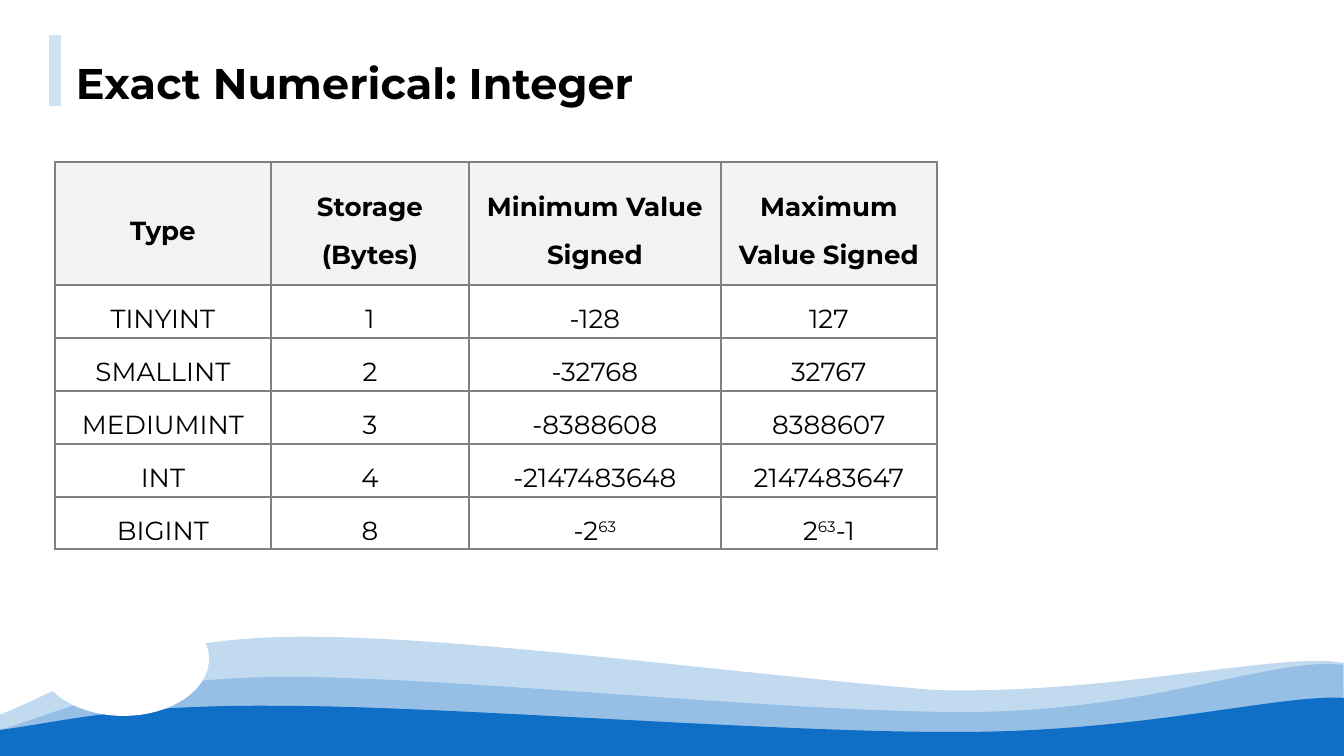
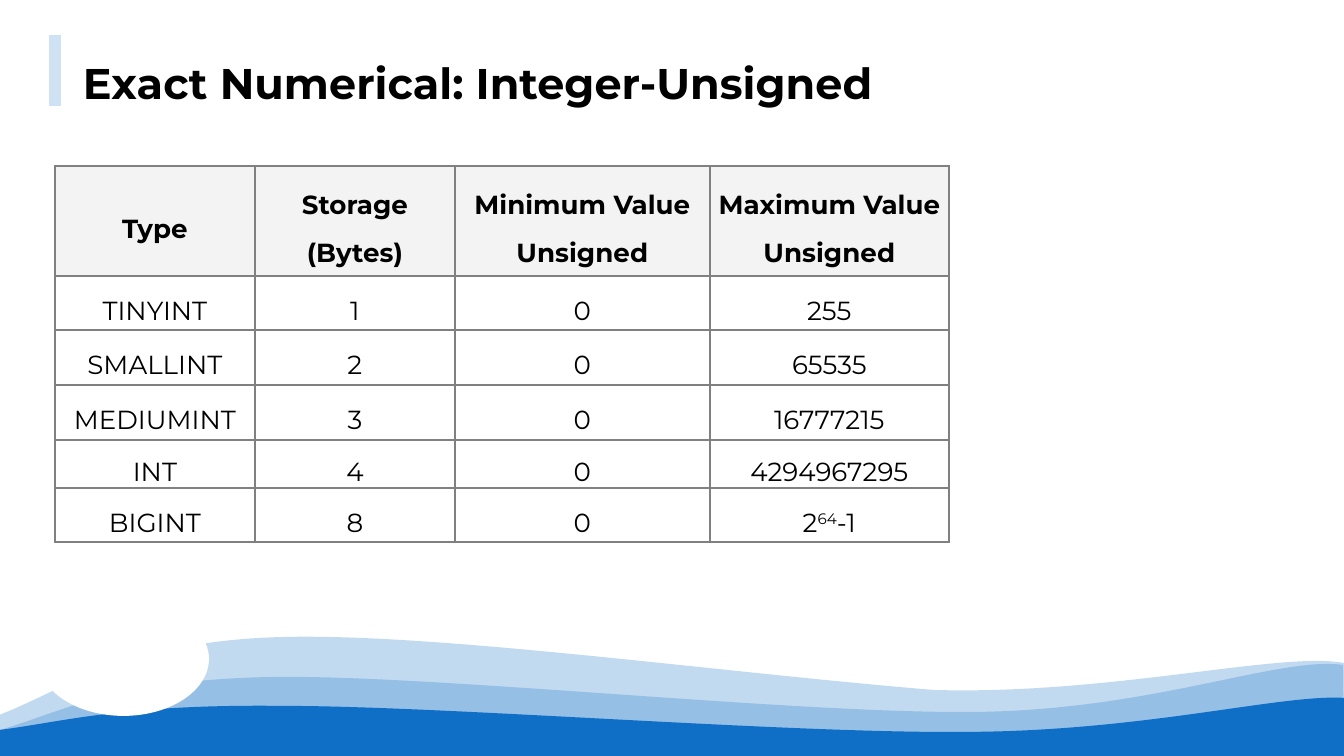
from dataclasses import dataclass

from lxml.etree import SubElement
from pptx import Presentation
from pptx.dml.color import RGBColor
from pptx.enum.shapes import MSO_CONNECTOR, MSO_SHAPE
from pptx.enum.text import MSO_ANCHOR, MSO_AUTO_SIZE, PP_ALIGN
from pptx.oxml.ns import qn
from pptx.util import Emu, Pt


@dataclass(frozen=True)
class Theme:
    font: str = "Montserrat"
    title_size: int = 23
    cell_size: int = 14
    ink: str = "000000"
    paper: str = "FFFFFF"
    wave: str = "0F6FC6"
    accent: str = "CFE2F3"
    header: str = "F3F3F3"
    border: str = "808080"
    thin: float = 1.02
    medium: float = 1.06
    thick: float = 1.5


theme = Theme()
EMU_PER_PX = 9144000 / 1344


def px(n):
    return Emu(round(n * EMU_PER_PX))


def write(p, text, size, bold, **para):
    """Fill a paragraph; parts between ^ marks are superscript."""
    for name, value in para.items():
        setattr(p, name, value)
    for i, part in enumerate(text.split("^")):
        if not part:
            continue
        r = p.add_run()
        r.text = part
        for name, value in dict(name=theme.font, size=Pt(size), bold=bold).items():
            setattr(r.font, name, value)
        r.font.color.rgb = RGBColor.from_string(theme.ink)
        if i % 2:
            r._r.get_or_add_rPr().set("baseline", "30000")


# Content
types = ["TINYINT", "SMALLINT", "MEDIUMINT", "INT", "BIGINT"]
storage = ["1", "2", "3", "4", "8"]
pages = [
    dict(
        title="Exact Numerical: Integer", title_box=(71, 44, 765, 71), kind="Signed",
        minimum=["-128", "-32768", "-8388608", "-2147483648", "-2^63^"],
        maximum=["127", "32767", "8388607", "2147483647", "2^63^-1"],
        top=162, cols=[216, 198, 252, 216], rows=[123, 53, 53, 53, 53, 52],
        thick_edges={(1, 3): "B", (2, 2): "R", (2, 3): "LRTB", (3, 3): "T"},
    ),
    dict(
        title="Exact Numerical: Integer-Unsigned", title_box=(78, 44, 942, 52), kind="Unsigned",
        minimum=["0"] * 5,
        maximum=["255", "65535", "16777215", "4294967295", "2^64^-1"],
        top=166, cols=[200, 200, 255, 239], rows=[110, 54, 55, 55, 48, 54],
        thick_edges={},
    ),
]

prs = Presentation()
prs.slide_width, prs.slide_height = px(1344), px(756)
layout = prs.slide_layouts[5]
for ph in list(layout.placeholders)[1:]:
    ph.element.getparent().remove(ph.element)
slides = [prs.slides.add_slide(layout) for _ in pages]

# Wave outlines: start point, three Bezier curves, opacity in percent
waves = [
    ((-1, 715), [(62, 691, 126, 641, 282, 637), (438, 633, 716, 672, 934, 690),
                 (1111, 695, 1282, 651, 1344, 663)], 25),
    ((0, 730), [(63, 712, 112, 680, 274, 677), (437, 675, 798, 714, 976, 712),
                (1154, 710, 1279, 656, 1343, 665)], 25),
    ((0, 730), [(63, 722, 122, 704, 284, 706), (445, 706, 793, 734, 969, 732),
                (1146, 731, 1282, 694, 1344, 698)], 100),
]
shapes = slides[0].shapes
backdrop = []
for start, curves, opacity in waves:
    corners = [curve[4:] for curve in curves] + [(1344, 756), (0, 756)]
    outline = shapes.build_freeform(px(start[0]), px(start[1]), scale=1.0)
    outline.add_line_segments([(px(x), px(y)) for x, y in corners], close=True)
    sp = outline.convert_to_shape()
    # The first segments become Bezier curves, measured from the shape's corner
    segments = list(sp.element.iter(qn("a:lnTo")))
    for segment, curve in zip(segments, curves):
        bezier = segment.makeelement(qn("a:cubicBezTo"))
        for x, y in zip(curve[::2], curve[1::2]):
            SubElement(bezier, qn("a:pt"), x=str(px(x) - sp.left), y=str(px(y) - sp.top))
        segment.getparent().replace(segment, bezier)
    backdrop.append((sp, theme.wave, opacity))
hollow = shapes.add_shape(MSO_SHAPE.OVAL, px(38), px(602), px(171), px(114))
backdrop.append((hollow, theme.paper, 100))

# The backdrop belongs to the layout, so both slides share it
for sp, color, opacity in backdrop:
    sp.shadow.inherit = False
    sp.line.fill.background()
    sp.fill.solid()
    sp.fill.fore_color.rgb = RGBColor.from_string(color)
    if opacity < 100:
        clr = sp.element.spPr.find(f"{qn('a:solidFill')}/{qn('a:srgbClr')}")
        SubElement(clr, qn("a:alpha"), val=str(opacity * 1000))
    layout.shapes.element.append(sp.element)

for s, page in zip(slides, pages):
    # Title
    title = s.shapes.title
    for name, value in zip(("left", "top", "width", "height"), page["title_box"]):
        setattr(title, name, px(value))
    tf = title.text_frame
    frame = dict(word_wrap=True, auto_size=MSO_AUTO_SIZE.NONE, vertical_anchor=MSO_ANCHOR.TOP)
    frame |= {f"margin_{side}": px(5) for side in ("left", "right", "top", "bottom")}
    for name, value in frame.items():
        setattr(tf, name, value)
    write(tf.paragraphs[0], page["title"], theme.title_size, True,
          alignment=PP_ALIGN.LEFT, line_spacing=1.15)

    # Table
    kind = page["kind"]
    head = ("Type", "Storage (Bytes)", f"Minimum Value {kind}", f"Maximum Value {kind}")
    grid = [head, *zip(types, storage, page["minimum"], page["maximum"])]
    cols, rows = page["cols"], page["rows"]
    table = s.shapes.add_table(len(rows), len(cols), px(55), px(page["top"]),
                               px(sum(cols)), px(sum(rows))).table
    table.first_row = table.horz_banding = False
    for col, width in zip(table.columns, cols):
        col.width = px(width)
    for row, height in zip(table.rows, rows):
        row.height = px(height)

    for i, values in enumerate(grid):
        is_head = i == 0
        side, edge = (1, 1) if is_head else (3, 0)
        box = dict(margin_left=px(side), margin_right=px(side), margin_top=px(edge),
                   margin_bottom=px(edge), vertical_anchor=MSO_ANCHOR.MIDDLE)
        for j, text in enumerate(values):
            cell = table.cell(i, j)
            for name, value in box.items():
                setattr(cell, name, value)
            write(cell.text_frame.paragraphs[0], text, theme.cell_size, is_head,
                  alignment=PP_ALIGN.CENTER, line_spacing=1.5)
            # Borders come before the fill in the cell properties
            for b in "LRTB":
                weight = theme.medium if is_head and b != "B" else theme.thin
                if b in page["thick_edges"].get((i, j), ""):
                    weight = theme.thick
                ln = SubElement(cell._tc.get_or_add_tcPr(), qn(f"a:ln{b}"), w=str(Pt(weight)))
                SubElement(SubElement(ln, qn("a:solidFill")), qn("a:srgbClr"), val=theme.border)
            cell.fill.solid()
            cell.fill.fore_color.rgb = RGBColor.from_string(theme.header if is_head else theme.paper)

    # Accent bar beside the title
    bar = s.shapes.add_connector(MSO_CONNECTOR.STRAIGHT, px(55), px(35), px(55), px(106))
    bar.line.width = Pt(6)
    bar.line.color.rgb = RGBColor.from_string(theme.accent)
    SubElement(bar.element.spPr, qn("a:effectLst"))

prs.save("out.pptx")
